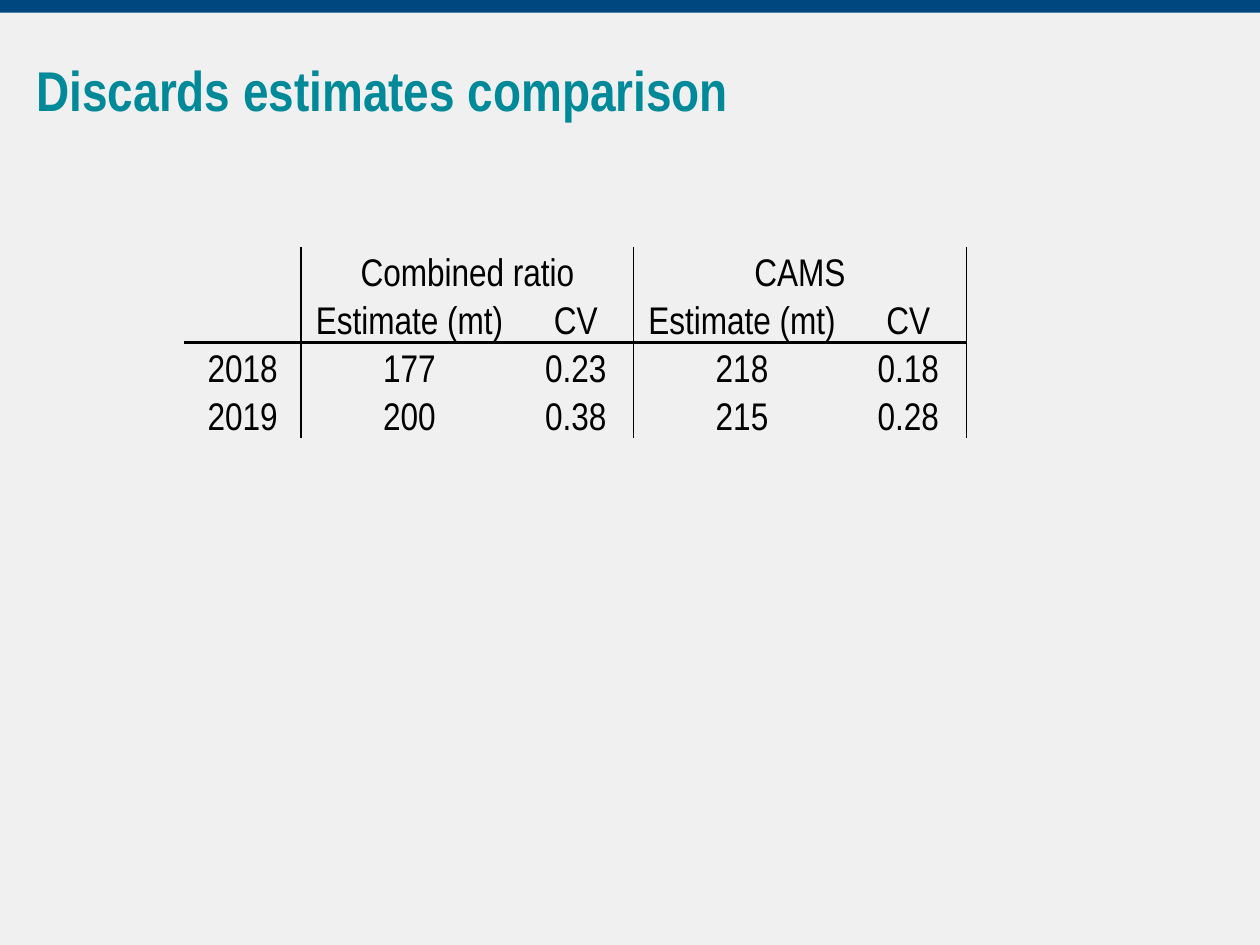
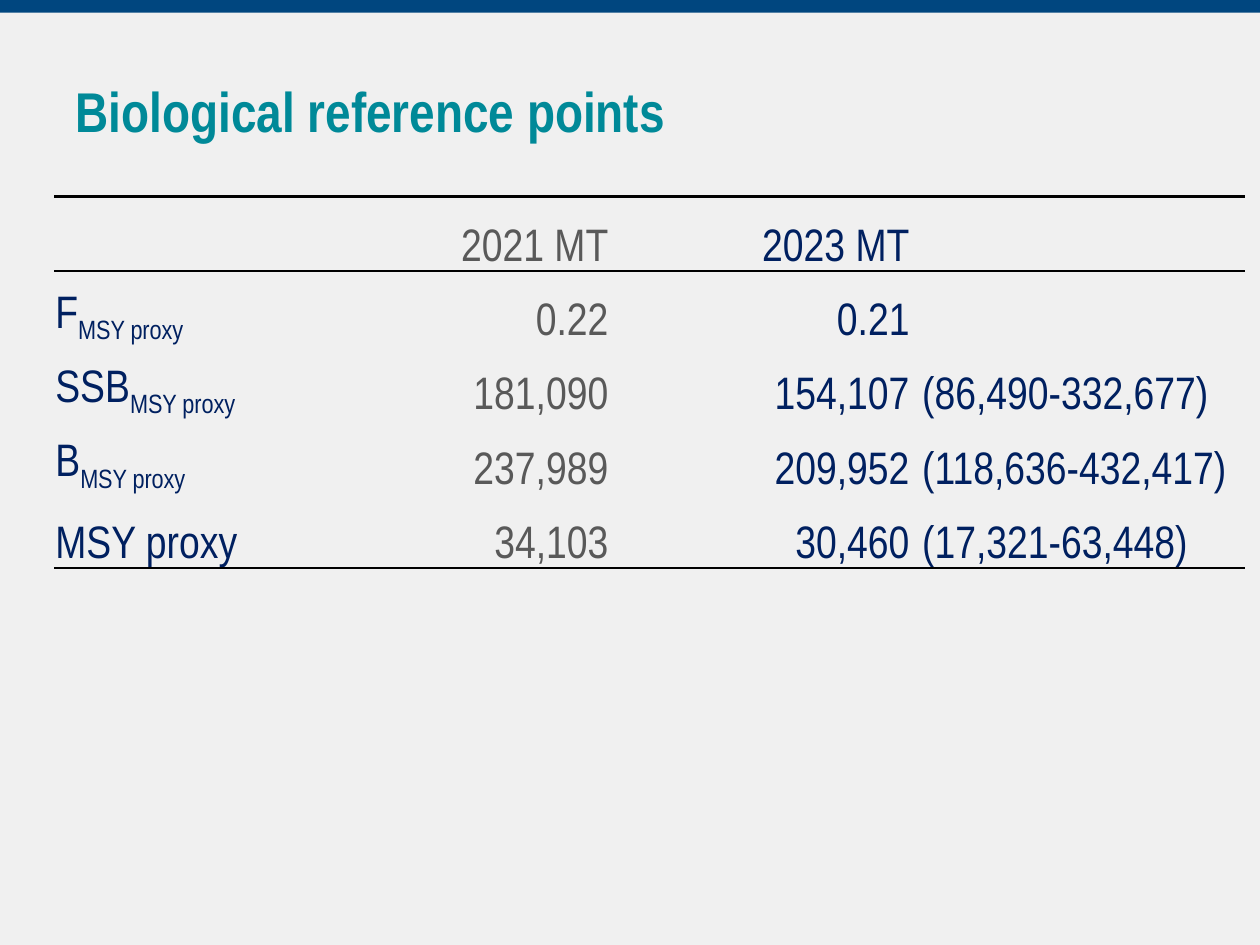
"""Build two slides of stock assessment tables in one shared style."""
import pptx
import pptx.dml.color
import pptx.enum.shapes
import pptx.enum.text
import pptx.oxml.ns
import pptx.util
import lxml.etree

RGB = pptx.dml.color.RGBColor
BACK = RGB(0xF0, 0xF0, 0xF0)
BLUE = RGB(0x00, 0x46, 0x7F)
TEAL = RGB(0x00, 0x89, 0x98)
NAVY = RGB(0x00, 0x20, 0x60)
GREY = RGB(0x59, 0x59, 0x59)
BLACK = RGB(0x00, 0x00, 0x00)

FACE = "Arial Narrow"
WIDE, HIGH = 10, 7.5
PLAIN = "{2D5ABB26-0587-4C30-8999-92F81FD0307C}"

ALIGN = pptx.enum.text.PP_ALIGN
ANCHOR = pptx.enum.text.MSO_ANCHOR
SIDES = {"l": ALIGN.LEFT, "c": ALIGN.CENTER, "r": ALIGN.RIGHT}
inch = pptx.util.Inches
qn = pptx.oxml.ns.qn

SLIDES = [
    {
        "title": "Discards estimates comparison",
        "box": (0.19, 0.39, 6, 1.86),
        "anchor": ANCHOR.TOP,
        "at": (1.46, 1.96),
        "cols": [0.93, 1.72, 0.92, 1.72, 0.92],
        "row": 0.38,
        "size": 22,
        "align": "ccccc",
        "inks": [BLACK] * 5,
        "pad": [0.01] * 5,
        "merge": [(0, 1, 2), (0, 3, 4)],
        "upright": {1: 1, 3: 1, 5: 0.5},
        "level": {2: 2},
        "fill": None,
        "rows": [
            ["", "Combined ratio", "", "CAMS", ""],
            ["", "Estimate (mt)", "CV", "Estimate (mt)", "CV"],
            ["2018", "177", "0.23", "218", "0.18"],
            ["2019", "200", "0.38", "215", "0.28"],
        ],
    },
    {
        "title": "Biological reference points",
        "box": (0.5, 0.5, 9, 0.74),
        "anchor": ANCHOR.MIDDLE,
        "at": (0.43, 1.56),
        "cols": [2.02, 2.39, 2.39, 2.65],
        "row": 0.59,
        "size": 26,
        "align": "lrrl",
        "inks": [NAVY, GREY, NAVY, NAVY],
        "pad": [0.01, 0.01, 0.01, 0.09],
        "merge": [],
        "upright": {},
        "level": {0: 1.5, 1: 1.5, 5: 1.5},
        "fill": BACK,
        "rows": [
            ["", "2021 MT", "2023 MT", ""],
            ["F_MSY proxy", "0.22", "0.21", ""],
            ["SSB_MSY proxy", "181,090", "154,107", "(86,490-332,677)"],
            ["B_MSY proxy", "237,989", "209,952", "(118,636-432,417)"],
            ["MSY proxy", "34,103", "30,460", "(17,321-63,448)"],
        ],
    },
]


def style(par, size, ink, align, bold=False):
    par.alignment = align
    font = par.font
    font.name, font.size, font.bold = FACE, pptx.util.Pt(size), bold
    font.color.rgb = ink


def add_title(slide, data):
    title = slide.shapes.title
    title.left, title.top, title.width, title.height = map(inch, data["box"])
    frame = title.text_frame
    frame.text = data["title"]
    frame.auto_size = pptx.enum.text.MSO_AUTO_SIZE.NONE
    frame.vertical_anchor = data["anchor"]
    style(frame.paragraphs[0], 32, TEAL, ALIGN.LEFT, True)


def edge(cell, side, width):
    props = cell._tc.get_or_add_tcPr()
    line = lxml.etree.SubElement(props, qn(f"a:ln{side}"))
    if not width:
        line.set("w", "0")
        lxml.etree.SubElement(line, qn("a:noFill"))
        return
    line.set("w", str(int(pptx.util.Pt(width))))
    fill = lxml.etree.SubElement(line, qn("a:solidFill"))
    lxml.etree.SubElement(fill, qn("a:srgbClr"), val=str(BLACK))


def fill_cell(cell, text, row, col, data):
    upright, level = data["upright"], data["level"]
    edge(cell, "L", upright.get(col))
    edge(cell, "R", upright.get(col + cell.span_width))
    edge(cell, "T", level.get(row))
    edge(cell, "B", level.get(row + 1))
    if data["fill"] is None:
        cell.fill.background()
    else:
        cell.fill.solid()
        cell.fill.fore_color.rgb = data["fill"]
    cell.vertical_anchor = ANCHOR.BOTTOM
    cell.margin_left = inch(data["pad"][col])
    cell.margin_right = cell.margin_top = inch(0.01)
    cell.margin_bottom = 0
    par = cell.text_frame.paragraphs[0]
    style(par, data["size"], data["inks"][col], SIDES[data["align"][col]])
    base, _, sub = text.partition("_")
    if base:
        par.add_run().text = base
    if sub:
        run = par.add_run()
        run.text = sub
        run._r.get_or_add_rPr().set("baseline", "-25000")


def add_grid(slide, data):
    rows, cols = data["rows"], data["cols"]
    spot = (*data["at"], sum(cols), data["row"] * len(rows))
    frame = slide.shapes.add_table(len(rows), len(cols), *map(inch, spot))
    table = frame.table
    table.first_row = table.horz_banding = False
    for mark in frame.element.iter(qn("a:tableStyleId")):
        mark.text = PLAIN
    for col, width in zip(table.columns, cols):
        col.width = inch(width)
    for row, first, last in data["merge"]:
        table.cell(row, first).merge(table.cell(row, last))
    for r, texts in enumerate(rows):
        for c, text in enumerate(texts):
            fill_cell(table.cell(r, c), text, r, c, data)


def add_band(deck, slide):
    band = slide.shapes.add_shape(
        pptx.enum.shapes.MSO_SHAPE.RECTANGLE, 0, 0, inch(WIDE), inch(0.1))
    band.shadow.inherit = False
    band.fill.solid()
    band.fill.fore_color.rgb = BLUE
    band.line.fill.background()
    deck.slide_master.shapes.element.append(band.element)


def main():
    deck = pptx.Presentation()
    deck.slide_width, deck.slide_height = inch(WIDE), inch(HIGH)
    back = deck.slide_master.background.fill
    back.solid()
    back.fore_color.rgb = BACK
    for data in SLIDES:
        slide = deck.slides.add_slide(deck.slide_layouts[5])
        add_title(slide, data)
        add_grid(slide, data)
    add_band(deck, slide)
    deck.save("out.pptx")


if __name__ == "__main__":
    main()
